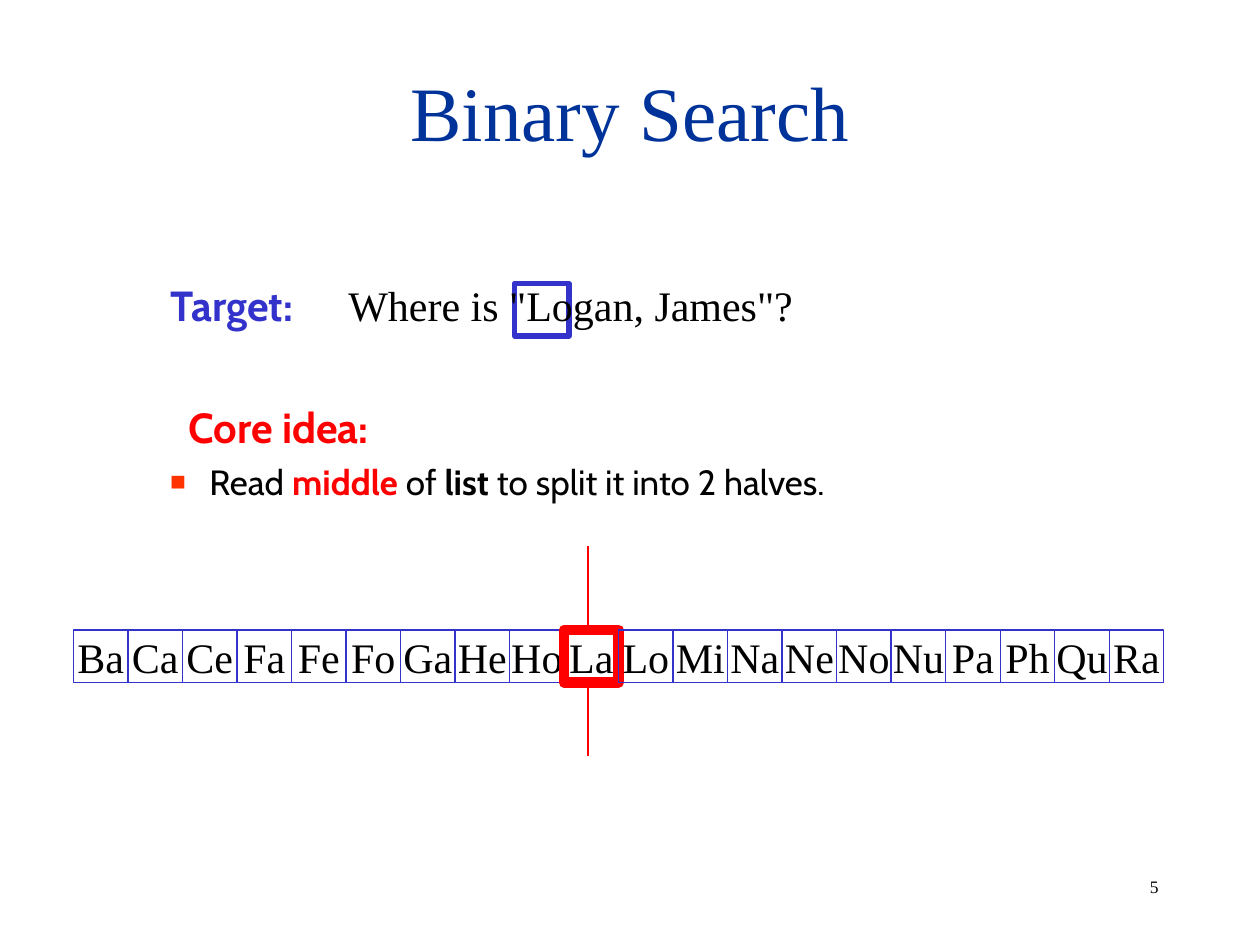
from dataclasses import dataclass

from lxml import etree
from pptx import Presentation
from pptx.dml.color import RGBColor
from pptx.enum import shapes, text
from pptx.oxml import ns
from pptx.util import Pt

NAVY = RGBColor(0x00, 0x33, 0x99)
BLUE = RGBColor(0x33, 0x33, 0xCC)
RED = RGBColor(0xFF, 0x00, 0x00)
ORANGE = RGBColor(0xFF, 0x33, 0x00)
BLACK = RGBColor(0x00, 0x00, 0x00)
WHITE = RGBColor(0xFF, 0xFF, 0xFF)
SERIF, SANS = "Times New Roman", "Cabin"

NAMES = "Ba Ca Ce Fa Fe Fo Ga He Ho La Lo Mi Na Ne No Nu Pa Ph Qu Ra".split()
MIDDLE = "La"
CELL_W, CELL_H = 31.15, 30
LIST_LEFT, LIST_TOP = 42, 360


@dataclass
class Run:
    text: str
    color: RGBColor = BLACK
    bold: bool = False


@dataclass
class Line:
    runs: list[Run]
    size: float
    margin: float
    indent: float
    before: float = 0
    bullet: bool = False


@dataclass
class Box:
    left: float
    top: float
    line: RGBColor = BLUE
    weight: float = 0.75
    label: str = ""
    fill: RGBColor | None = None


BODY = [
    Line([Run("Target:", BLUE, True)], 24, 58.5, -22.5),
    Line([Run("Core idea:", RED, True)], 24, 46.5, 0, before=41),
    Line([Run("Read "), Run("middle", RED, True), Run(" of "),
          Run("list", bold=True), Run(" to split it into 2 halves.")],
         20, 58.5, -22.5, before=5, bullet=True),
]


def style(r, size: float, font: str, color: RGBColor, bold: bool = False) -> None:
    r.font.size, r.font.name, r.font.bold = Pt(size), font, bold
    r.font.color.rgb = color


def place(sp, left: float, top: float, width: float, height: float) -> None:
    sp.left, sp.top, sp.width, sp.height = Pt(left), Pt(top), Pt(width), Pt(height)


def set_bullet(p, line: Line) -> None:
    """Set the indents of a paragraph and its square bullet, or none."""
    pPr = p._p.get_or_add_pPr()
    pPr.set("marL", str(Pt(line.margin)))
    pPr.set("indent", str(Pt(line.indent)))
    if not line.bullet:
        etree.SubElement(pPr, ns.qn("a:buNone"))
        return
    color = etree.SubElement(pPr, ns.qn("a:buClr"))
    etree.SubElement(color, ns.qn("a:srgbClr"), val=str(ORANGE))
    etree.SubElement(pPr, ns.qn("a:buSzPct"), val="75000")
    etree.SubElement(pPr, ns.qn("a:buChar"), char="■")


def fill_body(sp, lines: list[Line]) -> None:
    tf = sp.text_frame
    tf.auto_size = text.MSO_AUTO_SIZE.NONE
    for i, line in enumerate(lines):
        p = tf.add_paragraph() if i else tf.paragraphs[0]
        p.level = 1
        set_bullet(p, line)
        p.space_before = Pt(line.before)
        for run in line.runs:
            r = p.add_run()
            r.text = run.text
            style(r, line.size, SANS, run.color, run.bold)


def add_box(s, box: Box) -> None:
    sp = s.shapes.add_shape(shapes.MSO_SHAPE.RECTANGLE, Pt(box.left), Pt(box.top),
                            Pt(CELL_W), Pt(CELL_H))
    sp.shadow.inherit = False
    if box.fill is None:
        sp.fill.background()
    else:
        sp.fill.solid()
        sp.fill.fore_color.rgb = box.fill
    sp.line.color.rgb, sp.line.width = box.line, Pt(box.weight)
    if box.label:
        tf = sp.text_frame
        tf.word_wrap = False
        tf.vertical_anchor = text.MSO_ANCHOR.MIDDLE
        tf.text = box.label
        p = tf.paragraphs[0]
        p.alignment = text.PP_ALIGN.CENTER
        style(p.runs[0], 24, SERIF, BLACK)


def add_label(s, words: str, left: float, top: float, width: float, height: float,
              size: float) -> None:
    sp = s.shapes.add_textbox(Pt(left), Pt(top), Pt(width), Pt(height))
    tf = sp.text_frame
    tf.word_wrap = False
    tf.auto_size = text.MSO_AUTO_SIZE.SHAPE_TO_FIT_TEXT
    tf.text = words
    style(tf.paragraphs[0].runs[0], size, SERIF, BLACK)


def add_split_line(s, x: float, top: float, bottom: float) -> None:
    line = s.shapes.add_connector(shapes.MSO_CONNECTOR.STRAIGHT,
                                  Pt(x), Pt(bottom), Pt(x), Pt(top))
    line.line.color.rgb, line.line.width = RED, Pt(0.75)
    etree.SubElement(line._element.spPr, ns.qn("a:effectLst"))


def main() -> None:
    prs = Presentation()
    prs.slide_width, prs.slide_height = Pt(720), Pt(540)
    s = prs.slides.add_slide(prs.slide_layouts[1])

    title, body = s.shapes.title, s.placeholders[1]
    place(title, 54, 18, 612, 90)
    tf = title.text_frame
    tf.auto_size = text.MSO_AUTO_SIZE.NONE
    tf.vertical_anchor = text.MSO_ANCHOR.MIDDLE
    tf.text = "Binary Search"
    tf.paragraphs[0].alignment = text.PP_ALIGN.CENTER
    style(tf.paragraphs[0].runs[0], 44, SERIF, NAVY)

    place(body, 54, 156, 612, 324)
    fill_body(body, BODY)

    add_split_line(s, 336, 312, 432)
    for i, name in enumerate(NAMES):
        box = Box(LIST_LEFT + i * CELL_W, LIST_TOP, label=name)
        if name == MIDDLE:
            box.line, box.weight, box.fill = RED, 6, WHITE
        add_box(s, box)

    add_box(s, Box(294, 162, weight=3))
    add_label(s, 'Where is "Logan, James"?', 192, 156, 274.5, 36, 24)
    add_label(s, "5", 650, 497, 56, 19.5, 10)
    prs.save("out.pptx")


if __name__ == "__main__":
    main()
